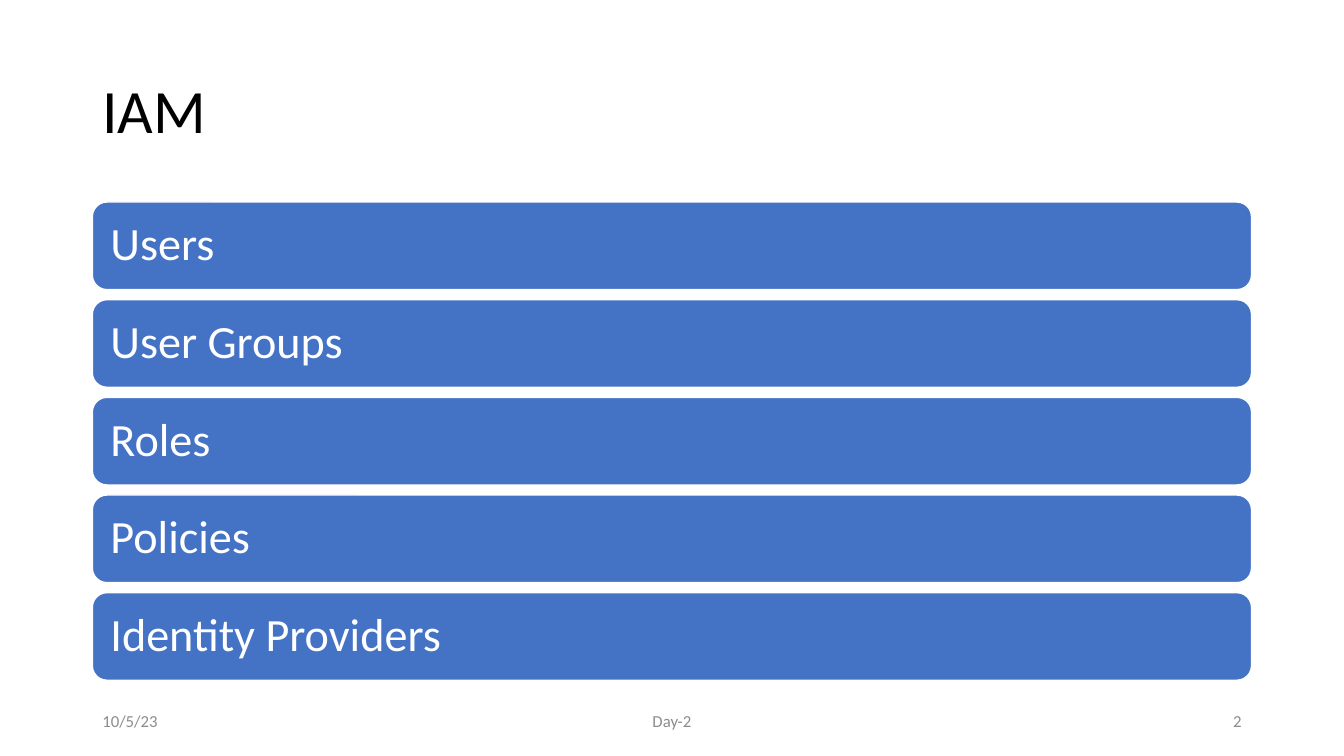
import pptx
import pptx.util
import pptx.dml.color
import pptx.enum.shapes
import pptx.enum.text

Pt = pptx.util.Pt
ALIGN = pptx.enum.text.PP_ALIGN
FONT = "Calibri"
TOPICS = ["Users", "User Groups", "Roles", "Policies", "Identity Providers"]


def color(value):
    return pptx.dml.color.RGBColor.from_string(value)


def set_attrs(obj, values):
    for name, value in values.items():
        setattr(obj, name, value)


def write(sp, text, size, hex_color, align=ALIGN.LEFT, spacing=1.0, inset=7.2):
    """Put one formatted line of text in a shape."""
    tf = sp.text_frame
    set_attrs(tf, {
        "word_wrap": True,
        "auto_size": pptx.enum.text.MSO_AUTO_SIZE.NONE,
        "vertical_anchor": pptx.enum.text.MSO_ANCHOR.MIDDLE,
        "margin_left": Pt(inset), "margin_right": Pt(inset),
        "margin_top": Pt(3.6), "margin_bottom": Pt(3.6),
    })
    p = tf.paragraphs[0]
    set_attrs(p, {"alignment": align, "line_spacing": spacing})
    r = p.add_run()
    r.text = text
    set_attrs(r.font, {"name": FONT, "size": Pt(size)})
    r.font.color.rgb = color(hex_color)


def add_title(s, text, left, top, width, height):
    sp = s.shapes.title
    set_attrs(sp, {"left": Pt(left), "top": Pt(top),
                   "width": Pt(width), "height": Pt(height)})
    write(sp, text, 44, "000000", spacing=0.9)


def add_topic_bars(s, topics, left, top, width, height, gap=7.2):
    """Stack equal rounded bars to fill the box."""
    bar_height = (height - gap * (len(topics) - 1)) / len(topics)
    for i, topic in enumerate(topics):
        sp = s.shapes.add_shape(
            pptx.enum.shapes.MSO_SHAPE.ROUNDED_RECTANGLE,
            Pt(left), Pt(top + i * (bar_height + gap)), Pt(width), Pt(bar_height))
        sp.shadow.inherit = False
        sp.fill.solid()
        sp.fill.fore_color.rgb = color("4472C4")
        sp.line.color.rgb = color("FFFFFF")
        sp.line.width = Pt(1)
        write(sp, topic, 33, "FFFFFF", spacing=0.9, inset=9.9)


def add_footer(s, date, label, number, left, top, width, height):
    """Date at the left, label in the middle, number at the right."""
    side, middle = 216, 324
    parts = [
        (date, left, side, ALIGN.LEFT),
        (label, left + (width - middle) / 2, middle, ALIGN.CENTER),
        (number, left + width - side, side, ALIGN.RIGHT),
    ]
    for text, x, w, align in parts:
        sp = s.shapes.add_textbox(Pt(x), Pt(top), Pt(w), Pt(height))
        write(sp, text, 12, "8C8C8C", align)


def main():
    prs = pptx.Presentation()
    prs.slide_width, prs.slide_height = Pt(960), Pt(540)
    s = prs.slides.add_slide(prs.slide_layouts.get_by_name("Title Only"))

    # Content column shared by all regions
    left, width = 66, 828
    add_title(s, "IAM", left, 28.75, width, 104.4)
    add_topic_bars(s, TOPICS, left, 144.3, width, 341.6)
    add_footer(s, "10/5/23", "Day-2", "2", left, 500.5, width, 28.75)

    prs.save("out.pptx")


if __name__ == "__main__":
    main()
